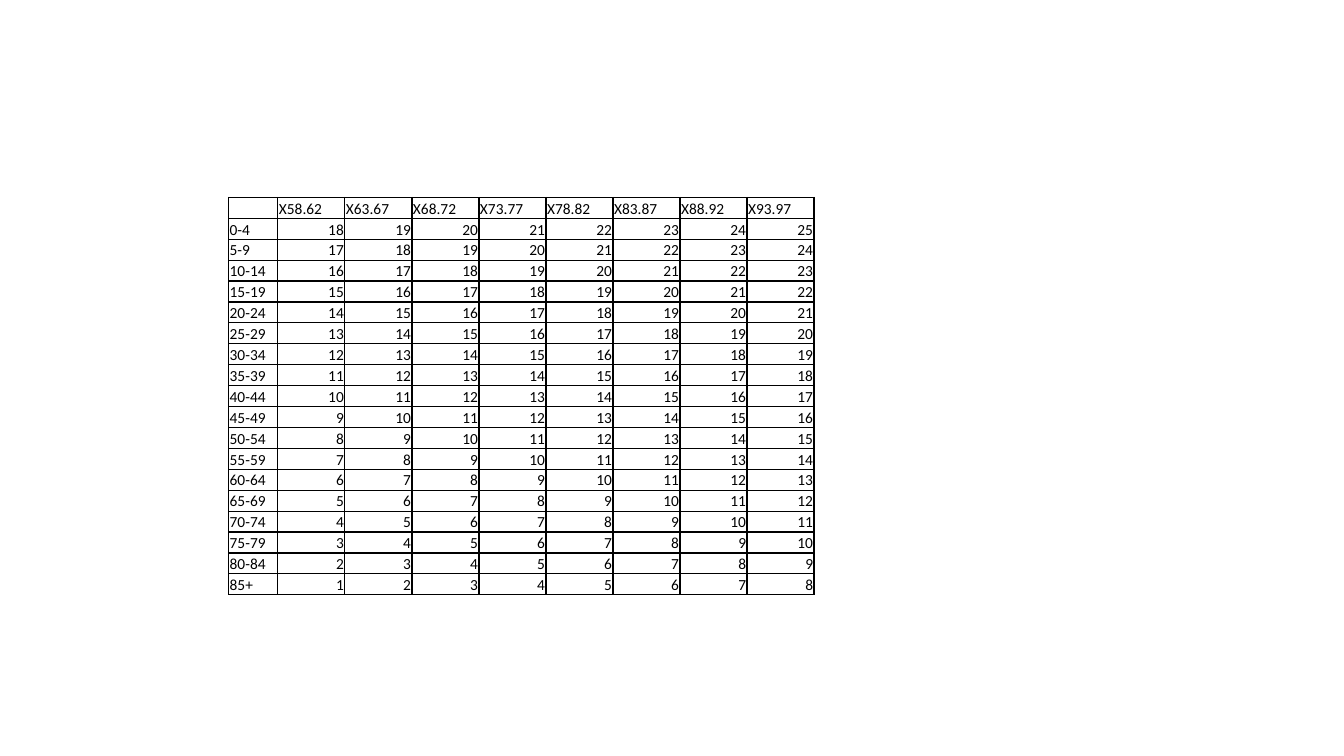
"""Build a slide with a table of cohort numbers by age group and period."""
import lxml.etree
import pptx
import pptx.dml.color
import pptx.enum.text
import pptx.oxml.ns
import pptx.util

Pt = pptx.util.Pt
qn = pptx.oxml.ns.qn
COLORS = {"ink": "000000"}
FONT_FORMAT = {"name": "Calibri", "size": Pt(11), "bold": False}
CELL_FORMAT = {
    "margin_left": Pt(0.75),
    "margin_top": Pt(0.75),
    "margin_right": Pt(0.75),
    "margin_bottom": Pt(0),
    "vertical_anchor": pptx.enum.text.MSO_ANCHOR.BOTTOM,
}
TABLE_FORMAT = {"first_row": False, "horz_banding": False}
AGE_WIDTH, PERIOD_WIDTH, ROW_HEIGHT = 35.2, 47.88, 14.96

periods = [f"X{year}.{year + 4}" for year in range(58, 94, 5)]
ages = [f"{age}-{age + 4}" for age in range(0, 85, 5)] + ["85+"]
rows = [[""] + periods]
for age_index, age in enumerate(ages):
    first_cohort = len(ages) - age_index
    rows.append([age] + [str(first_cohort + step) for step in range(len(periods))])

presentation = pptx.Presentation()
presentation.slide_width = Pt(960)
presentation.slide_height = Pt(540)
slide = presentation.slides.add_slide(presentation.slide_layouts[6])

table = slide.shapes.add_table(
    len(rows), len(rows[0]), Pt(163.3), Pt(141),
    Pt(AGE_WIDTH + PERIOD_WIDTH * len(periods)), Pt(ROW_HEIGHT * len(rows)),
).table
for name, value in TABLE_FORMAT.items():
    setattr(table, name, value)
for column_index, column in enumerate(table.columns):
    column.width = Pt(PERIOD_WIDTH if column_index else AGE_WIDTH)

for row_index, texts in enumerate(rows):
    table.rows[row_index].height = Pt(ROW_HEIGHT)
    for column_index, text in enumerate(texts):
        cell = table.cell(row_index, column_index)
        for name, value in CELL_FORMAT.items():
            setattr(cell, name, value)
        properties = cell._tc.get_or_add_tcPr()
        for side in ("a:lnL", "a:lnR", "a:lnT", "a:lnB"):
            border = lxml.etree.SubElement(properties, qn(side), w=str(Pt(1)))
            border_fill = lxml.etree.SubElement(border, qn("a:solidFill"))
            lxml.etree.SubElement(border_fill, qn("a:srgbClr"), val=COLORS["ink"])
        cell.fill.background()

        paragraph = cell.text_frame.paragraphs[0]
        if not text:
            lxml.etree.SubElement(paragraph._p, qn("a:endParaRPr"), sz="1100")
            continue
        if row_index and column_index:
            paragraph.alignment = pptx.enum.text.PP_ALIGN.RIGHT
        run = paragraph.add_run()
        run.text = text
        for name, value in FONT_FORMAT.items():
            setattr(run.font, name, value)
        run.font.color.rgb = pptx.dml.color.RGBColor.from_string(COLORS["ink"])

presentation.save("out.pptx")
